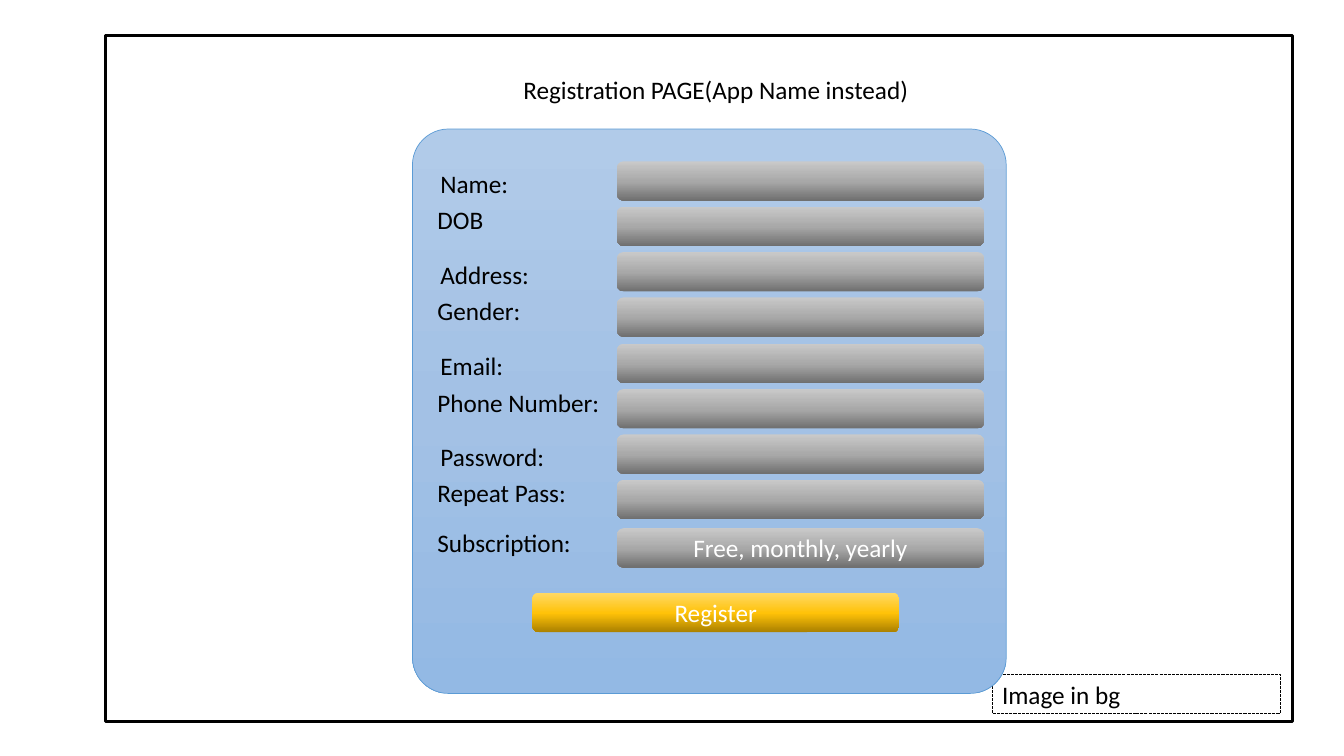
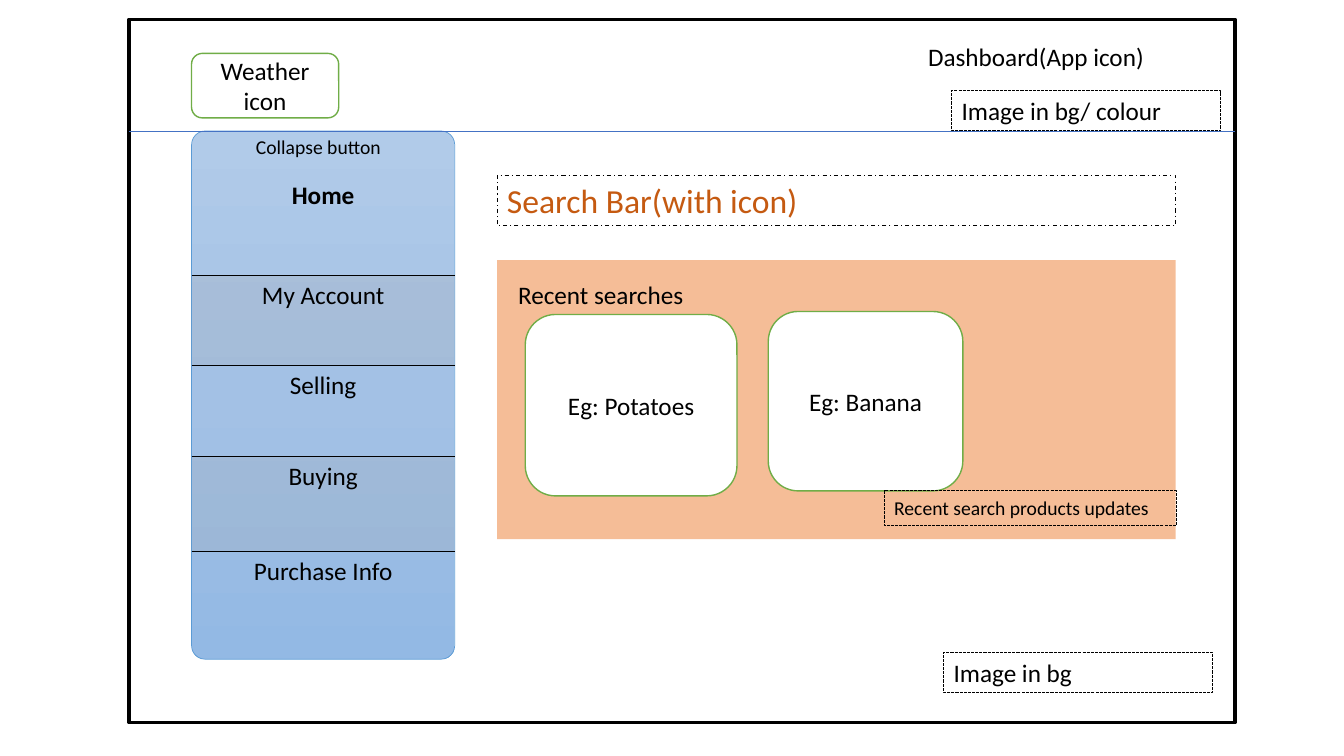
from collections import namedtuple

from lxml.etree import SubElement
from pptx import Presentation
from pptx.dml.color import RGBColor
from pptx.enum.dml import MSO_LINE
from pptx.enum.shapes import MSO_CONNECTOR, MSO_SHAPE
from pptx.enum.text import MSO_ANCHOR, MSO_AUTO_SIZE, PP_ALIGN
from pptx.oxml.ns import qn
from pptx.util import Inches, Pt

BLACK = RGBColor(0x00, 0x00, 0x00)
WHITE = RGBColor(0xFF, 0xFF, 0xFF)
BLUE = RGBColor(0x5B, 0x9B, 0xD5)
RULE_BLUE = RGBColor(0x44, 0x72, 0xC4)
GREEN = RGBColor(0x70, 0xAD, 0x47)
ORANGE = RGBColor(0xED, 0x7D, 0x31)
RUST = RGBColor(0xC5, 0x5A, 0x11)
GRAY = RGBColor(0xA5, 0xA5, 0xA5)

# Gradient stops from top to bottom: (percent, colour)
PANEL_STOPS = [(0, RGBColor(0xB1, 0xCB, 0xE9)), (50, RGBColor(0xA3, 0xC1, 0xE5)),
               (100, RGBColor(0x93, 0xB9, 0xE4))]
FIELD_STOPS = [(0, RGBColor(0xC9, 0xC9, 0xC9)), (52, RGBColor(0xA8, 0xA8, 0xA8)),
               (100, RGBColor(0x6F, 0x6F, 0x6F))]
BUTTON_STOPS = [(0, RGBColor(0xFF, 0xD9, 0x66)), (52, RGBColor(0xFF, 0xC2, 0x08)),
                (100, RGBColor(0xAB, 0x81, 0x00))]

FONT = "Calibri"
NO_GRID_STYLE = "{2D5ABB26-0587-4C30-8999-92F81FD0307C}"

FIELD_PAIRS = [("Name:", "DOB"), ("Address:", "Gender:"),
               ("Email:", "Phone Number:"), ("Password:", "Repeat Pass:")]
MENU = [("Home", 0.99), ("My Account", 0.9), ("Selling", 0.9),
        ("Buying", 0.94), ("Purchase Info", 0.9)]

Box = namedtuple("Box", "left top width height")


def inside(box, left, top, width, height):
    """Box whose offset is measured from the corner of another box."""
    return Box(box.left + left, box.top + top, width, height)


def emu(box):
    return [Inches(length) for length in box]


def write(frame, text, size=18, color=BLACK, align=PP_ALIGN.LEFT, bold=False):
    para = frame.paragraphs[0]
    para.alignment = align
    span = para.add_run()
    span.text = text
    span.font.name = FONT
    span.font.size = Pt(size)
    span.font.bold = bold
    span.font.color.rgb = color


def set_gradient(fill, properties, stops):
    fill.gradient()
    fill.gradient_angle = 270
    stop_list = properties.find(qn("a:gradFill")).find(qn("a:gsLst"))
    for old in list(stop_list):
        stop_list.remove(old)
    for percent, color in stops:
        stop = SubElement(stop_list, qn("a:gs"), pos=str(percent * 1000))
        SubElement(stop, qn("a:srgbClr"), val=str(color))


def set_fill(fill, properties, color, opacity=100):
    fill.solid()
    fill.fore_color.rgb = color
    if opacity < 100:
        color_node = properties.find(qn("a:solidFill")).find(qn("a:srgbClr"))
        SubElement(color_node, qn("a:alpha"), val=str(opacity * 1000))


def add_block(page, box, kind=MSO_SHAPE.RECTANGLE, fill=None, opacity=100,
              stops=None, line=None, weight=1, dash=None, corner=None):
    shape = page.shapes.add_shape(kind, *emu(box))
    shape.shadow.inherit = False
    if corner is not None:
        shape.adjustments[0] = corner
    if stops:
        set_gradient(shape.fill, shape._element.spPr, stops)
    elif fill is not None:
        set_fill(shape.fill, shape._element.spPr, fill, opacity)
    else:
        shape.fill.background()
    if line is None:
        shape.line.fill.background()
    else:
        shape.line.color.rgb = line
        shape.line.width = Pt(weight)
        if dash:
            shape.line.dash_style = dash
    return shape


def add_caption(page, box, text, size=18, align=PP_ALIGN.LEFT):
    frame = page.shapes.add_textbox(*emu(box)).text_frame
    frame.word_wrap = True
    frame.auto_size = MSO_AUTO_SIZE.SHAPE_TO_FIT_TEXT
    write(frame, text, size, align=align)


def add_note(page, box, text, size=18, color=BLACK, dash=MSO_LINE.SQUARE_DOT):
    """Dashed, unfilled box with text at its top left."""
    frame = add_block(page, box, line=BLACK, weight=0.75, dash=dash).text_frame
    frame.word_wrap = True
    frame.vertical_anchor = MSO_ANCHOR.TOP
    frame.auto_size = MSO_AUTO_SIZE.SHAPE_TO_FIT_TEXT
    write(frame, text, size, color)


def add_centred(shape, text, color):
    frame = shape.text_frame
    frame.word_wrap = True
    frame.vertical_anchor = MSO_ANCHOR.MIDDLE
    write(frame, text, color=color, align=PP_ALIGN.CENTER)


def add_frame(page, box):
    add_block(page, box, fill=WHITE, line=BLACK, weight=2.25)


def add_panel(page, box, corner):
    add_block(page, box, MSO_SHAPE.ROUNDED_RECTANGLE, stops=PANEL_STOPS,
              line=BLUE, weight=0.5, corner=corner)


def add_card(page, box, text):
    card = add_block(page, box, MSO_SHAPE.ROUNDED_RECTANGLE, fill=WHITE, line=GREEN)
    add_centred(card, text, BLACK)


def add_bar(page, box, stops, text=""):
    bar = add_block(page, box, MSO_SHAPE.ROUNDED_RECTANGLE, stops=stops)
    if text:
        add_centred(bar, text, WHITE)


def add_field(page, box, label, label_left, label_drop, value=""):
    add_caption(page, inside(box, label_left, label_drop, 1.9, 0.4), label)
    add_bar(page, box, FIELD_STOPS, value)


def add_form(page, box):
    add_panel(page, box, 0.064)
    for index, (first, second) in enumerate(FIELD_PAIRS):
        top = 0.32 + index * 0.9 + (0.01 if index > 1 else 0)
        add_field(page, inside(box, 2.03, top, 3.64, 0.39), first, -1.85, 0.02)
        add_field(page, inside(box, 2.03, top + 0.45, 3.64, 0.39), second, -1.88, -0.07)
    add_field(page, inside(box, 2.03, 3.96, 3.64, 0.39), "Subscription:",
              -1.88, -0.06, "Free, monthly, yearly")
    add_bar(page, inside(box, 1.19, 4.6, 3.64, 0.39), BUTTON_STOPS, "Register")


def add_cell_edge(cell, side):
    properties = cell._tc.get_or_add_tcPr()
    edge = SubElement(properties, qn("a:" + side), w=str(Pt(1)))
    SubElement(SubElement(edge, qn("a:solidFill")), qn("a:srgbClr"), val=str(BLACK))


def add_menu(page, box):
    table = page.shapes.add_table(len(MENU), 1, *emu(box)).table
    table.first_row = table.horz_banding = False
    table._tbl.tblPr.find(qn("a:tableStyleId")).text = NO_GRID_STYLE
    table.columns[0].width = Inches(box.width)
    for index, (label, height) in enumerate(MENU):
        table.rows[index].height = Inches(height)
        cell = table.cell(index, 0)
        write(cell.text_frame, label, align=PP_ALIGN.CENTER, bold=index == 0)
        if index > 0:
            add_cell_edge(cell, "lnT")
        if index < len(MENU) - 1:
            add_cell_edge(cell, "lnB")
        if index % 2:
            set_fill(cell.fill, cell._tc.tcPr, GRAY, 20)
        else:
            cell.fill.background()


def add_recent(page, box):
    add_block(page, box, fill=ORANGE, opacity=50)
    add_card(page, inside(box, 0.28, 0.54, 2.1, 1.8), "Eg: Potatoes")
    add_card(page, inside(box, 2.69, 0.51, 1.93, 1.78), "Eg: Banana")
    add_note(page, inside(box, 3.84, 2.29, 2.9, 0.34), "Recent search products updates", 14)
    add_caption(page, inside(box, 0.11, 0.14, 3.2, 0.4), "Recent searches")


def add_rule(page, left, right, top):
    rule = page.shapes.add_connector(MSO_CONNECTOR.STRAIGHT, Inches(left), Inches(top),
                                     Inches(right), Inches(top))
    rule.line.color.rgb = RULE_BLUE
    rule.line.width = Pt(0.5)
    SubElement(rule._element.spPr, qn("a:effectLst"))


def build_registration(page, box):
    add_frame(page, box)
    add_caption(page, inside(box, 3.87, 0.34, 4.36, 0.39),
                "Registration PAGE(App Name instead)", align=PP_ALIGN.CENTER)
    add_note(page, inside(box, 8.79, 6.34, 2.86, 0.39), "Image in bg")
    add_form(page, inside(box, 3.04, 0.93, 5.89, 5.6))


def build_dashboard(page, box):
    add_frame(page, box)
    add_caption(page, inside(box, 7.24, 0.17, 3.51, 0.4),
                "Dashboard(App icon)", align=PP_ALIGN.CENTER)
    add_note(page, inside(box, 8.08, 6.28, 2.67, 0.4), "Image in bg")
    add_note(page, inside(box, 3.65, 1.55, 6.73, 0.5), "Search Bar(with icon)",
             24, RUST, MSO_LINE.DASH_DOT)
    add_panel(page, inside(box, 0.62, 1.11, 2.61, 5.24), 0.052)
    add_note(page, inside(box, 8.16, 0.71, 2.67, 0.4), "Image in bg/ colour")
    add_recent(page, inside(box, 3.65, 2.39, 6.73, 2.77))
    add_rule(page, box.left, box.left + box.width, box.top + 1.11)
    add_menu(page, inside(box, 0.62, 1.55, 2.61, 4.63))
    add_card(page, inside(box, 0.62, 0.34, 1.46, 0.64), "Weather icon")
    add_caption(page, inside(box, 1.16, 1.1, 1.86, 0.34), "Collapse button", 14)


def main():
    deck = Presentation()
    deck.slide_width, deck.slide_height = Inches(13.33), Inches(7.5)
    blank = deck.slide_layouts[6]
    build_registration(deck.slides.add_slide(blank), Box(1.05, 0.35, 11.77, 6.81))
    build_dashboard(deck.slides.add_slide(blank), Box(1.28, 0.19, 10.97, 6.98))
    deck.save("out.pptx")


if __name__ == "__main__":
    main()
